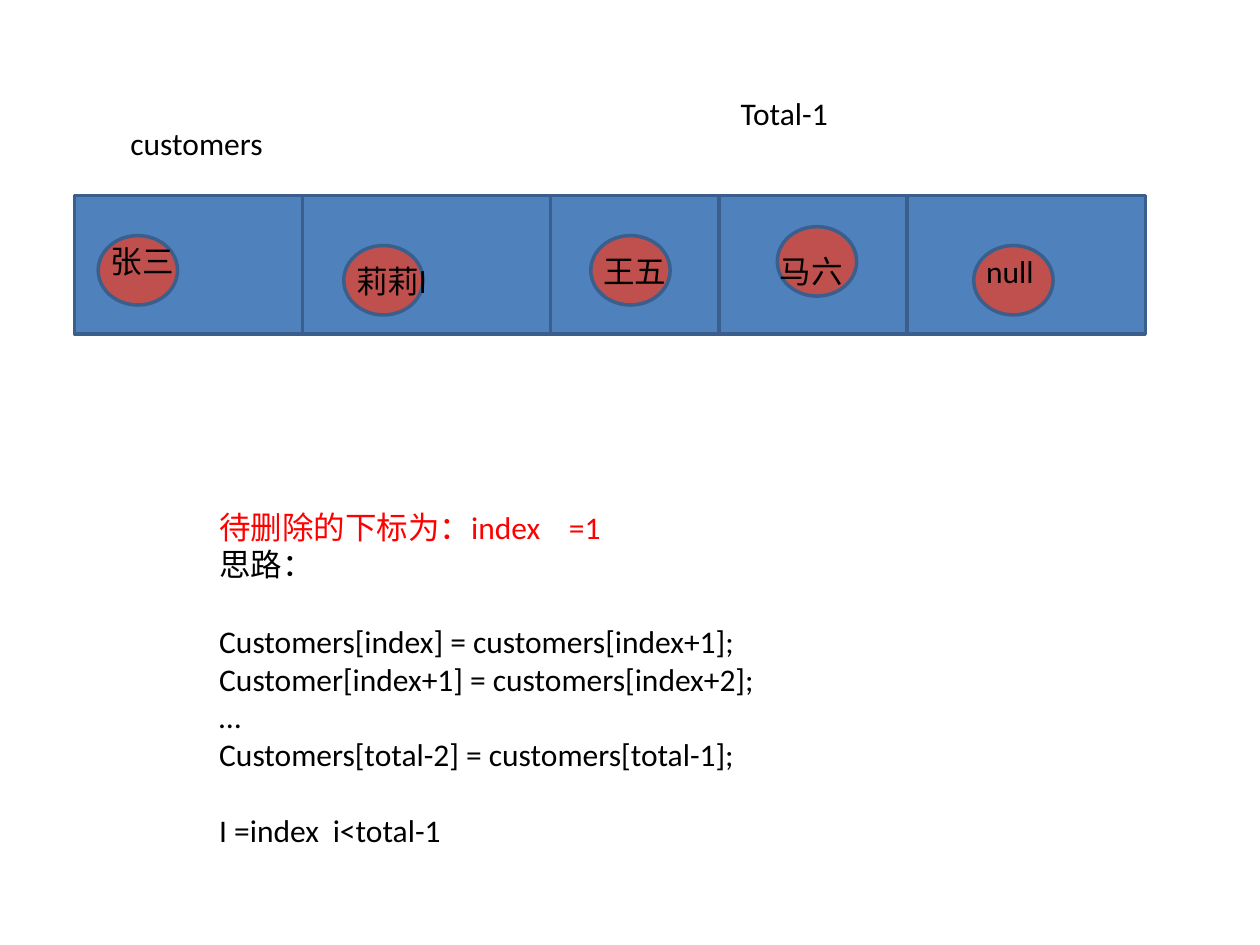
from dataclasses import dataclass

from lxml.etree import SubElement
from pptx import Presentation
from pptx.dml.color import RGBColor
from pptx.enum.shapes import MSO_SHAPE
from pptx.oxml.ns import qn
from pptx.util import Cm, Pt


@dataclass(frozen=True)
class Theme:
    font: str = "Calibri"
    text_size: float = 18
    line_height: float = 22
    outline_width: float = 2
    cell: RGBColor = RGBColor(0x4F, 0x81, 0xBD)
    customer: RGBColor = RGBColor(0xC0, 0x50, 0x4D)
    outline: RGBColor = RGBColor(0x3A, 0x5F, 0x8C)
    text: RGBColor = RGBColor(0, 0, 0)
    highlight: RGBColor = RGBColor(0xFF, 0, 0)


THEME = Theme()

# All lengths are in centimetres.
CELL_EDGES = (1.5, 6.1, 11.1, 14.5, 18.29, 23.09)
ARRAY_TOP, ARRAY_HEIGHT = 3.94, 2.79
CIRCLE_WIDTH, CIRCLE_HEIGHT = 1.6, 1.4
LABEL_HEIGHT = 1.02
NAME_WIDTH = 2.4

# Name, circle left and top, name left and top
CUSTOMERS = (
    ("张三", (1.98, 4.75), (1.98, 4.75)),
    ("莉莉l", (6.93, 4.95), (6.93, 5.16)),
    ("王五", (11.91, 4.75), (11.91, 4.95)),
    ("马六", (15.67, 4.57), (15.47, 4.95)),
    ("null", (19.63, 4.95), (19.63, 4.95)),
)

# Groups of lines; each line is its text, colour and tab stop
NOTES = (
    (("待删除的下标为：index\t=1", THEME.highlight, 7.05),
     ("思路：", THEME.text, None)),
    (("Customers[index] = customers[index+1];", THEME.text, None),
     ("Customer[index+1] = customers[index+2];", THEME.text, None),
     ("…", THEME.text, None),
     ("Customers[total-2] = customers[total-1];", THEME.text, None)),
    (("I =index\ti<total-1", THEME.text, 2.29),),
)


def add_outlined(slide, preset, left, top, width, height, fill):
    outlined = slide.shapes.add_shape(
        preset, Cm(left), Cm(top), Cm(width), Cm(height))
    outlined.shadow.inherit = False
    outlined.fill.solid()
    outlined.fill.fore_color.rgb = fill
    outlined.line.color.rgb = THEME.outline
    outlined.line.width = Pt(THEME.outline_width)


def add_text_frame(slide, left, top, width, height):
    frame = slide.shapes.add_textbox(
        Cm(left), Cm(top), Cm(width), Cm(height)).text_frame
    frame.word_wrap = True
    return frame


def add_run(paragraph, wording, color):
    run = paragraph.add_run()
    run.text = wording
    run.font.name = THEME.font
    run.font.size = Pt(THEME.text_size)
    run.font.color.rgb = color


def add_label(slide, wording, left, top, width):
    frame = add_text_frame(slide, left, top, width, LABEL_HEIGHT)
    add_run(frame.paragraphs[0], wording, THEME.text)


def set_tab_stop(paragraph, position):
    tab_list = SubElement(
        paragraph._p.get_or_add_pPr(), qn("a:tabLst"))
    SubElement(tab_list, qn("a:tab"), pos=str(Cm(position)), algn="l")


def add_array(slide):
    """Nest three rectangles whose edges mark off the five cells."""
    for depth in range(len(CELL_EDGES) // 2):
        left, right = CELL_EDGES[depth], CELL_EDGES[-1 - depth]
        add_outlined(slide, MSO_SHAPE.RECTANGLE, left, ARRAY_TOP,
                     right - left, ARRAY_HEIGHT, THEME.cell)


def add_customers(slide):
    for _, circle_at, _ in CUSTOMERS:
        add_outlined(slide, MSO_SHAPE.OVAL, *circle_at,
                     CIRCLE_WIDTH, CIRCLE_HEIGHT, THEME.customer)
    for name, _, name_at in CUSTOMERS:
        add_label(slide, name, *name_at, NAME_WIDTH)


def add_notes(slide):
    frame = add_text_frame(slide, 4.17, 10.11, 15.29, 8.4)
    paragraph = frame.paragraphs[0]
    for group_index, group in enumerate(NOTES):
        for line_index, (wording, color, tab_stop) in enumerate(group):
            if group_index or line_index:
                paragraph = frame.add_paragraph()
            if group_index and not line_index:
                paragraph.space_before = Pt(THEME.line_height)
            if tab_stop:
                set_tab_stop(paragraph, tab_stop)
            add_run(paragraph, wording, color)


def main():
    presentation = Presentation()
    presentation.slide_width = Cm(25.4)
    presentation.slide_height = Cm(19.05)
    slide = presentation.slides.add_slide(presentation.slide_layouts[6])
    add_array(slide)
    add_label(slide, "customers", 2.38, 2.38, 9.33)
    add_customers(slide)
    add_notes(slide)
    add_label(slide, "Total-1", 14.68, 1.78, 3.58)
    presentation.save("out.pptx")


if __name__ == "__main__":
    main()
